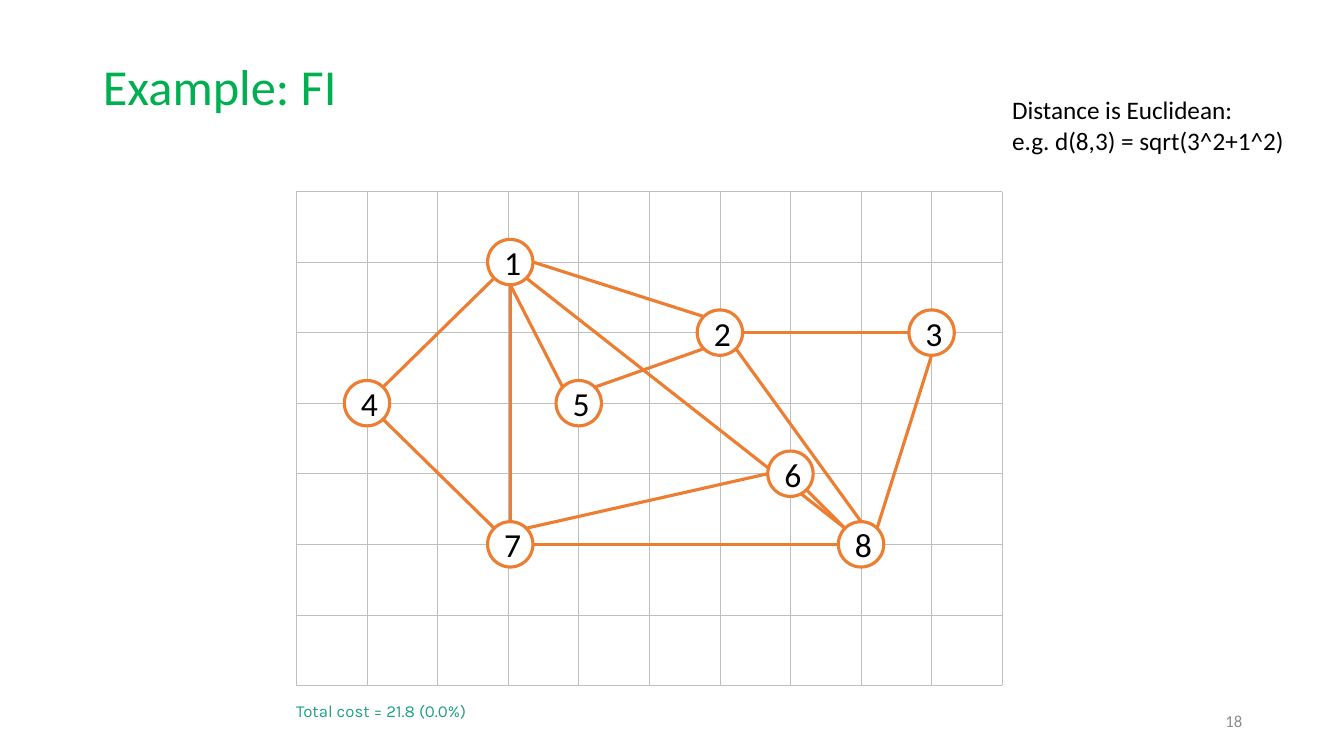
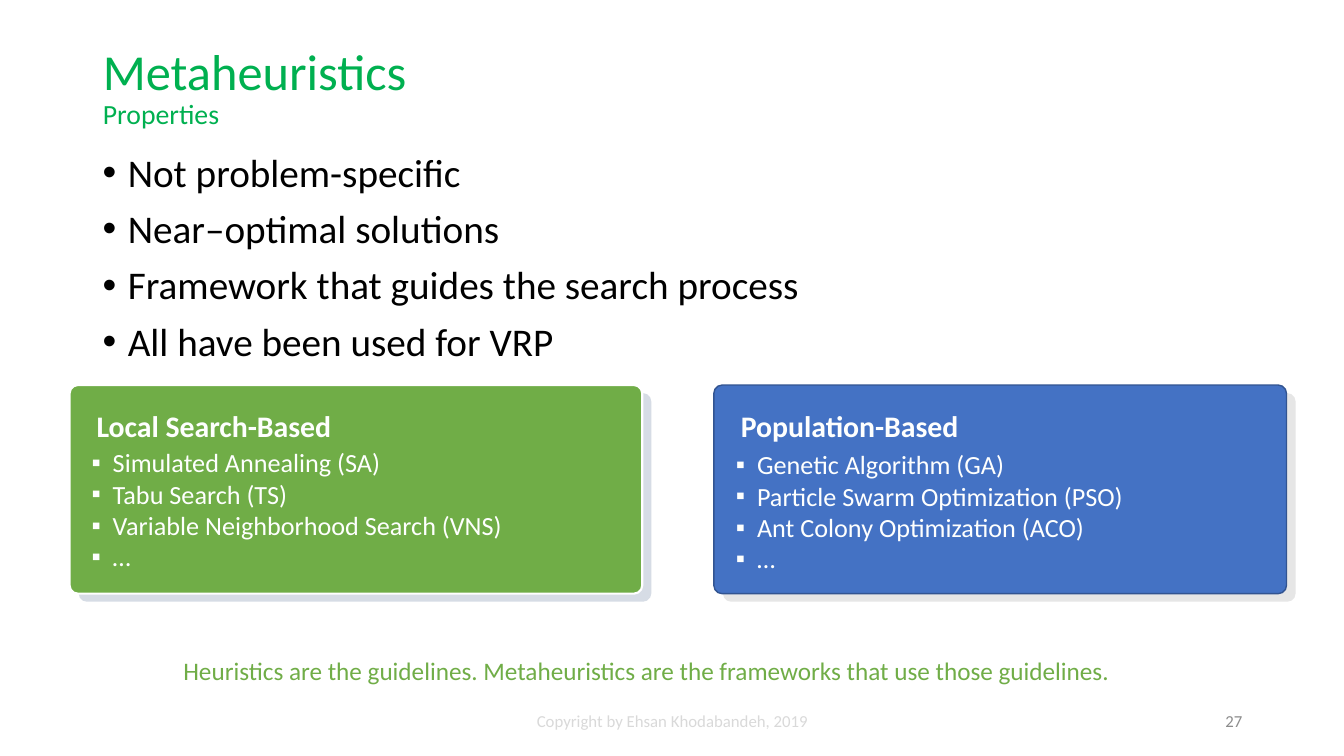
"""Build two slides on routing heuristics: a network example and metaheuristics."""
import math
from dataclasses import dataclass

from lxml import etree
from pptx import Presentation
from pptx import util as u
from pptx.dml.color import RGBColor
from pptx.enum import shapes, text
from pptx.oxml import ns

COLORS = {
    "title": "00B050", "text": "000000", "number": "8C8C8C", "footer": "D9D9D9",
    "grid": "BFBFBF", "route": "ED7D31", "cost": "1EA185", "white": "FFFFFF",
    "card_text": "FEFFFE", "green": "70AD47", "green_shadow": "D6DCE5",
    "blue": "4472C4", "blue_line": "325491", "blue_shadow": "E6E6E6",
}
FONT = "Calibri"
GRID_LEFT, GRID_TOP, CELL, COLUMNS, ROWS = 2.94, 1.9, 0.7, 10, 7
NODE_SIZE = 0.45
CARD_TOP, CARD_WIDTH, CARD_HEIGHT = 3.82, 5.68, 2.07
COMPASS = ("e", "ne", "n", "nw", "w", "sw", "s", "se")


@dataclass(frozen=True)
class Style:
    size: float
    color: str
    font: str = FONT
    bold: bool = False


@dataclass(frozen=True)
class Bullet:
    char: str
    indent: float
    before: float = 0
    spacing: float = 1.0


@dataclass(frozen=True)
class Node:
    column: float
    row: float

    def center(self) -> tuple[float, float]:
        return GRID_LEFT + self.column * CELL, GRID_TOP + self.row * CELL

    def rim(self, side: str) -> tuple[float, float]:
        x, y = self.center()
        angle = COMPASS.index(side) * math.pi / 4
        radius = NODE_SIZE / 2
        return x + radius * math.cos(angle), y - radius * math.sin(angle)


@dataclass(frozen=True)
class Edge:
    start: int
    start_side: str
    end: int
    end_side: str


@dataclass(frozen=True)
class Card:
    left: float
    fill: str
    line: str
    line_width: float
    shadow: str
    heading: str
    list_top: float
    items: tuple[str, ...]


NODES = {
    1: Node(3.03, 1), 2: Node(6, 2), 3: Node(9, 2), 4: Node(1, 3),
    5: Node(4, 3), 6: Node(7, 4), 7: Node(3.03, 5), 8: Node(8, 5),
}
EDGES = (
    Edge(1, "se", 8, "nw"), Edge(1, "s", 7, "n"), Edge(7, "e", 8, "w"),
    Edge(1, "e", 2, "nw"), Edge(2, "se", 8, "n"), Edge(3, "s", 8, "ne"),
    Edge(2, "e", 3, "w"), Edge(1, "sw", 4, "ne"), Edge(4, "se", 7, "nw"),
    Edge(1, "s", 5, "nw"), Edge(2, "sw", 5, "ne"), Edge(7, "ne", 6, "w"),
    Edge(6, "se", 8, "nw"),
)
CARDS = (
    Card(7.08, "blue", "blue_line", 1, "blue_shadow", "Population-Based", 4.4,
         ("Genetic Algorithm (GA)", "Particle Swarm Optimization (PSO)",
          "Ant Colony Optimization (ACO)", "…")),
    Card(0.69, "green", "white", 1.5, "green_shadow", "Local Search-Based", 4.38,
         ("Simulated Annealing (SA)", "Tabu Search (TS)",
          "Variable Neighborhood Search (VNS)", "…")),
)
PROPERTIES = ("Not problem-specific", "Near–optimal solutions",
              "Framework that guides the search process", "All have been used for VRP")


def rgb(name: str) -> RGBColor:
    return RGBColor.from_string(COLORS[name])


def add_span(para, words: str, style: Style) -> None:
    span = para.add_run()
    span.text = words
    span.font.name = style.font
    span.font.size = u.Pt(style.size)
    span.font.bold = style.bold
    span.font.color.rgb = rgb(style.color)


def set_bullet(para, bullet: Bullet) -> None:
    para.line_spacing = bullet.spacing
    para.space_before = u.Pt(bullet.before)
    props = para._p.get_or_add_pPr()
    props.set("marL", str(u.Inches(bullet.indent)))
    props.set("indent", str(-u.Inches(bullet.indent)))
    etree.SubElement(props, ns.qn("a:buFont")).set("typeface", "Arial")
    etree.SubElement(props, ns.qn("a:buChar")).set("char", bullet.char)


def add_text(page, left: float, top: float, width: float, height: float,
             lines: tuple[str, ...], style: Style, align=text.PP_ALIGN.LEFT,
             anchor=text.MSO_ANCHOR.TOP, wrap: bool = True,
             bullet: Bullet | None = None) -> None:
    box = page.shapes.add_textbox(
        u.Inches(left), u.Inches(top), u.Inches(width), u.Inches(height))
    frame = box.text_frame
    frame.word_wrap = wrap
    frame.vertical_anchor = anchor
    for index, line in enumerate(lines):
        para = frame.add_paragraph() if index else frame.paragraphs[0]
        para.alignment = align
        if bullet:
            set_bullet(para, bullet)
        add_span(para, line, style)


def add_line(page, start: tuple[float, float], end: tuple[float, float],
             color: str, width: float) -> None:
    line = page.shapes.add_connector(
        shapes.MSO_CONNECTOR.STRAIGHT, *map(u.Inches, start + end))
    line.line.color.rgb = rgb(color)
    line.line.width = u.Pt(width)
    etree.SubElement(line._element.spPr, ns.qn("a:effectLst"))


def add_shape(page, kind, left: float, top: float, width: float, height: float,
              fill: str, line: str | None = None, line_width: float = 1):
    shape = page.shapes.add_shape(
        kind, u.Inches(left), u.Inches(top), u.Inches(width), u.Inches(height))
    shape.shadow.inherit = False
    shape.fill.solid()
    shape.fill.fore_color.rgb = rgb(fill)
    if line:
        shape.line.color.rgb = rgb(line)
        shape.line.width = u.Pt(line_width)
    else:
        shape.line.fill.background()
    return shape


def add_page(deck, number: int, heading: str, subheading: str = ""):
    page = deck.slides.add_slide(deck.slide_layouts[5])
    title = page.shapes.title
    title.left, title.top = u.Inches(0.92), u.Inches(0.4)
    title.width, title.height = u.Inches(11.5), u.Inches(0.96)
    frame = title.text_frame
    frame.auto_size = text.MSO_AUTO_SIZE.NONE
    frame.vertical_anchor = text.MSO_ANCHOR.MIDDLE
    para = frame.paragraphs[0]
    para.alignment = text.PP_ALIGN.LEFT
    para.line_spacing = 0.9
    add_span(para, heading, Style(36, "title"))
    if subheading:
        para.add_line_break()
        add_span(para, subheading, Style(19.8, "title"))
    add_text(page, 9.42, 6.95, 3, 0.4, (str(number),), Style(12, "number"),
             align=text.PP_ALIGN.RIGHT, anchor=text.MSO_ANCHOR.MIDDLE)
    return page


def add_grid(page) -> None:
    right, bottom = GRID_LEFT + COLUMNS * CELL, GRID_TOP + ROWS * CELL
    for row in range(ROWS + 1):
        y = GRID_TOP + row * CELL
        add_line(page, (GRID_LEFT, y), (right, y), "grid", 0.5)
    for column in range(COLUMNS + 1):
        x = GRID_LEFT + column * CELL
        add_line(page, (x, GRID_TOP), (x, bottom), "grid", 0.5)


def add_node(page, label: int, node: Node) -> None:
    x, y = node.center()
    circle = add_shape(page, shapes.MSO_SHAPE.OVAL, x - NODE_SIZE / 2, y - NODE_SIZE / 2,
                       NODE_SIZE, NODE_SIZE, "white", "route", 2.25)
    circle.text_frame.vertical_anchor = text.MSO_ANCHOR.MIDDLE
    para = circle.text_frame.paragraphs[0]
    para.alignment = text.PP_ALIGN.CENTER
    add_span(para, str(label), Style(24, "text"))


def add_card(page, card: Card) -> None:
    kind = shapes.MSO_SHAPE.ROUNDED_RECTANGLE
    shadow = add_shape(page, kind, card.left + 0.09, CARD_TOP + 0.08,
                       CARD_WIDTH, CARD_HEIGHT, card.shadow)
    panel = add_shape(page, kind, card.left, CARD_TOP, CARD_WIDTH, CARD_HEIGHT,
                      card.fill, card.line, card.line_width)
    for shape in (shadow, panel):
        shape.adjustments[0] = 0.04
    add_text(page, card.left + 0.17, 4, 3.08, 0.46, (card.heading,),
             Style(21.3, "card_text", bold=True))
    add_text(page, card.left + 0.12, card.list_top, 5.45, 1.36, card.items,
             Style(18.7, "card_text"), bullet=Bullet("▪", 0.21))


def build_example(deck) -> None:
    page = add_page(deck, 18, "Example: FI")
    add_grid(page)
    for edge in EDGES:
        add_line(page, NODES[edge.start].rim(edge.start_side),
                 NODES[edge.end].rim(edge.end_side), "route", 2.25)
    for label, node in NODES.items():
        add_node(page, label, node)
    add_text(page, 2.84, 6.9, 2.66, 0.4, ("Total cost = 21.8 (0.0%)",),
             Style(12, "cost", "Karla"))
    add_text(page, 9.94, 0.89, 2.93, 0.71,
             ("Distance is Euclidean:", "e.g. d(8,3) = sqrt(3^2+1^2)"),
             Style(18, "text"), wrap=False)


def build_metaheuristics(deck) -> None:
    page = add_page(deck, 27, "Metaheuristics", "Properties")
    add_text(page, 0.92, 1.47, 11.5, 5.28, PROPERTIES, Style(28, "text"),
             bullet=Bullet("•", 0.25, before=10, spacing=0.9))
    for card in CARDS:
        add_card(page, card)
    add_text(page, 1.72, 6.45, 9.76, 0.4,
             ("Heuristics are the guidelines. Metaheuristics are the frameworks "
              "that use those guidelines.",), Style(18, "green"))
    add_text(page, 4.42, 6.95, 4.5, 0.4, ("Copyright by Ehsan Khodabandeh, 2019",),
             Style(12, "footer"), align=text.PP_ALIGN.CENTER,
             anchor=text.MSO_ANCHOR.MIDDLE)


def main() -> None:
    deck = Presentation()
    deck.slide_width, deck.slide_height = u.Inches(13.33), u.Inches(7.5)
    build_example(deck)
    build_metaheuristics(deck)
    deck.save("out.pptx")


if __name__ == "__main__":
    main()
